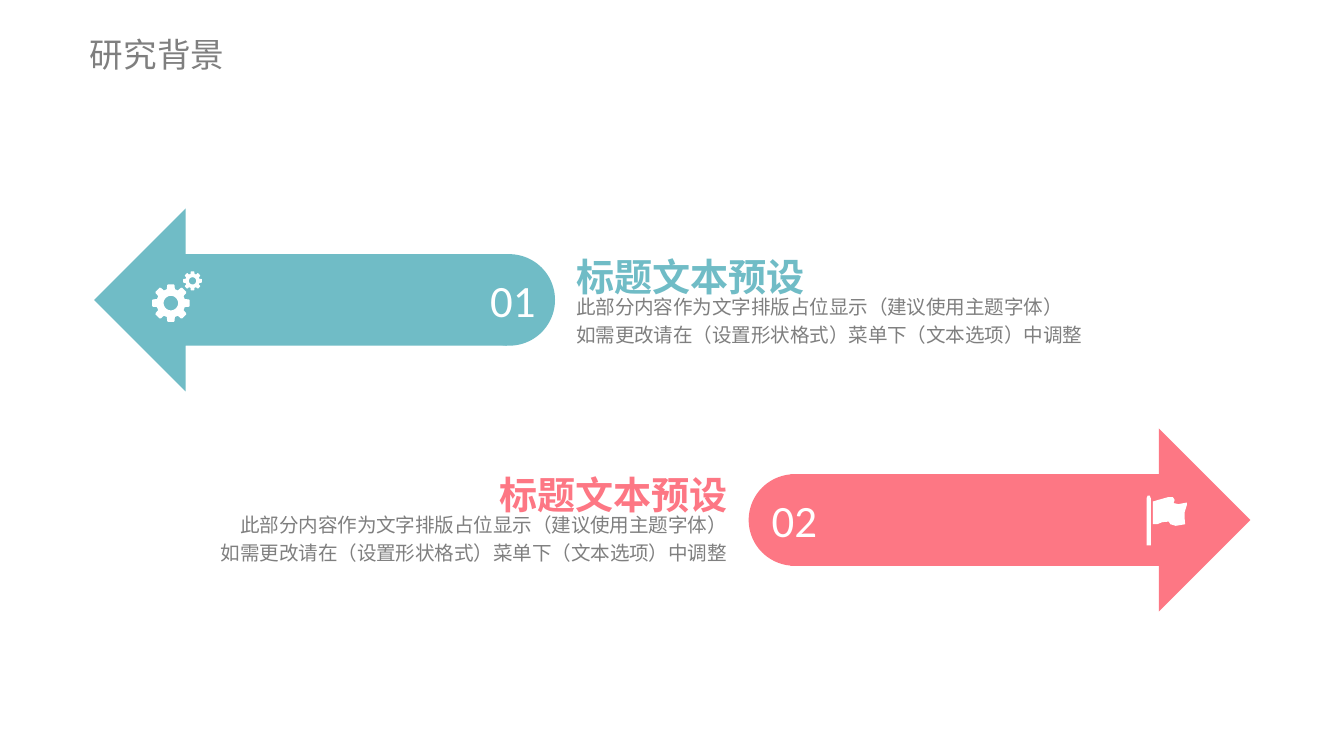
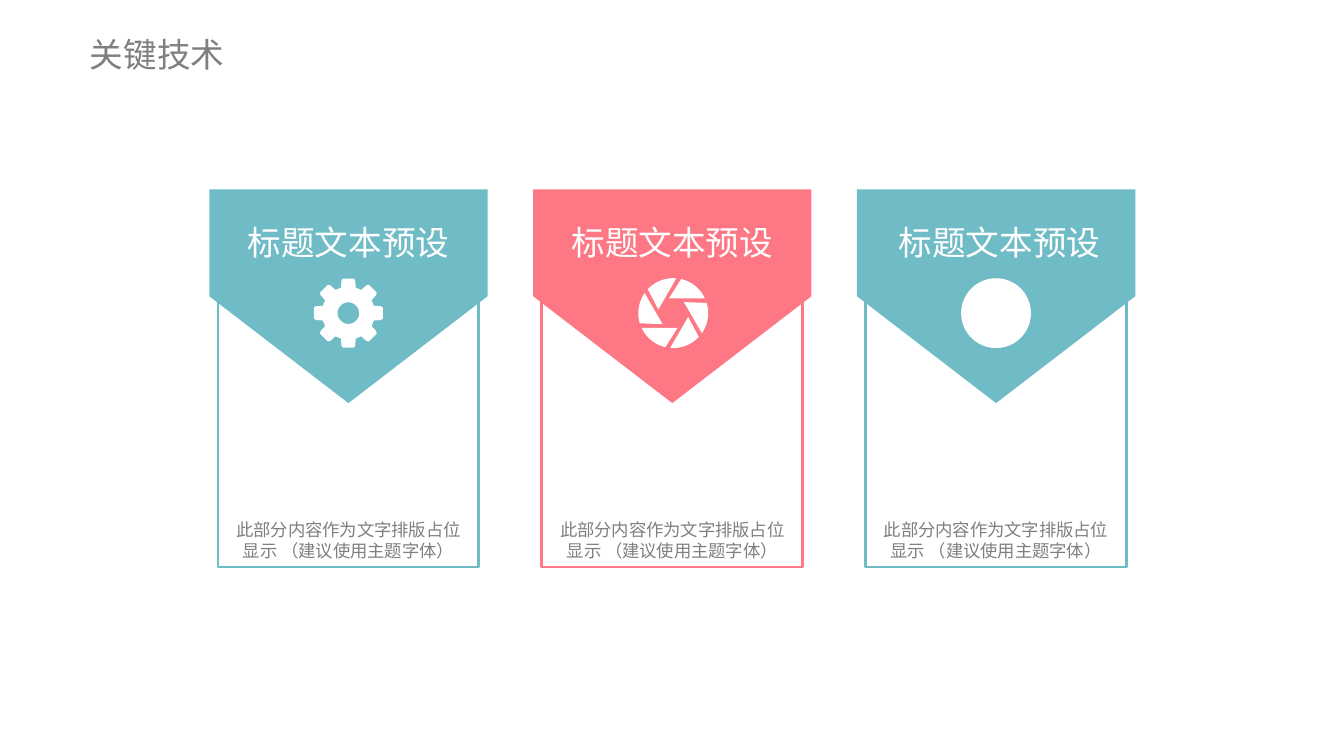
import math

from lxml import etree
from pptx import Presentation
from pptx import util as u
from pptx.dml.color import RGBColor
from pptx.enum import shapes, text
from pptx.oxml.ns import qn

TEAL, PINK, GREY, WHITE = "70BCC6", "FD7784", "7F7F7F", "FFFFFF"
CJK, LATIN = "Noto Sans CJK SC", "Calibri"
LEFT, CENTER, RIGHT = text.PP_ALIGN.LEFT, text.PP_ALIGN.CENTER, text.PP_ALIGN.RIGHT
TOP, MIDDLE = text.MSO_ANCHOR.TOP, text.MSO_ANCHOR.MIDDLE
SHAPE = shapes.MSO_SHAPE

# Slide 1: two opposite arrows, lengths in cm
HEADING = "标题文本预设"
ARROW_BODY = "此部分内容作为文字排版占位显示（建议使用主题字体）\v如需更改请在（设置形状格式）菜单下（文本选项）中调整"
ARROWS = [
    dict(number="02", color=PINK, left=14.94, top=8.1, length=8.69, rotation=0,
         circle_left=14.15, text_edge=14.15, text_top=8.92, align=RIGHT, number_align=CENTER),
    dict(number="01", color=TEAL, left=1.78, top=3.94, length=7.8, rotation=180,
         circle_left=8.76, text_edge=10.49, text_top=4.8, align=LEFT, number_align=LEFT),
]
ARROW_HEIGHT, CIRCLE = 3.46, 1.73
HEADING_SIZE, BODY_SIZE = (5.4, 0.69), (11.48, 1.14)
GEARS = [(3.64, 5.31, 0.18), (3.23, 5.73, 0.36)]
FLAG_AT = (21.79, 9.4)
FLAG = [(0, .08), (.1, .05), (.28, 0), (.38, 0), (.41, .05), (.39, .11), (.48, .13),
        (.64, .1), (.64, .15), (.6, .28), (.6, .41), (.61, .51), (.43, .54),
        (.33, .51), (.3, .46), (.18, .47), (.08, .51), (0, .51)]
POLE = [(-.12, .02), (-.1, -.03), (-.06, -.03), (-.04, .02), (-.04, .91), (-.12, .91)]

# Slide 2: three cards under pennants
CARD_BODY = "此部分内容作为文字排版占位显示 （建议使用主题字体）"
CARDS = [("gear", TEAL, 0.13), ("aperture", PINK, 0.13), ("disc", TEAL, 0)]
CARD_LEFT, CARD_TOP, CARD_STEP, CARD_WIDTH, CARD_HEIGHT = 4.12, 3.81, 6.12, 4.93, 6.91
PENNANT_LENGTH, PENNANT_WIDTH, PENNANT_MIDDLE = 4.04, 5.26, 5.6
ICON_MIDDLE, ICON_RADIUS = 5.92, 0.66


def rgb(color):
    return RGBColor.from_string(color)


def box_cm(*lengths):
    return [u.Cm(length) for length in lengths]


def paint(shape, fill=None, line=None):
    shape.shadow.inherit = False
    if fill:
        shape.fill.solid()
        shape.fill.fore_color.rgb = rgb(fill)
    else:
        shape.fill.background()
    if line:
        shape.line.color.rgb = rgb(line)
        shape.line.width = u.Pt(1.5)
    else:
        shape.line.fill.background()


def add_preset(slide, kind, box, fill=None, line=None, rotation=0):
    shape = slide.shapes.add_shape(kind, *box_cm(*box))
    paint(shape, fill, line)
    shape.rotation = rotation
    return shape


def write(shape, content, size, color, font=CJK, align=LEFT, anchor=TOP,
          insets=(0.25, 0.13, 0.25, 0.13), wrap=True, bold=False, spacing=None):
    frame = shape.text_frame
    frame.text = content
    frame.word_wrap = wrap
    frame.vertical_anchor = anchor
    (frame.margin_left, frame.margin_top,
     frame.margin_right, frame.margin_bottom) = box_cm(*insets)
    paragraph = frame.paragraphs[0]
    paragraph.alignment = align
    if spacing:
        paragraph.line_spacing = spacing
    for run in paragraph.runs:
        run.font.size = u.Pt(size)
        run.font.bold = bold
        run.font.color.rgb = rgb(color)
        run.font.name = font
        etree.SubElement(run.font._element, qn("a:ea"), typeface=font)


def add_text(slide, box, content, size, color, **style):
    write(slide.shapes.add_textbox(*box_cm(*box)), content, size, color, **style)


def add_outline(slide, contours):
    """Draw closed white contours, given in cm, as one freeform."""
    contours = [[box_cm(*point) for point in contour] for contour in contours]
    builder = slide.shapes.build_freeform(*contours[0][0])
    for index, contour in enumerate(contours):
        if index:
            builder.move_to(*contour[0])
        builder.add_line_segments(contour[1:], close=True)
    paint(builder.convert_to_shape(), WHITE)


def polar(x, y, radius, degrees):
    angle = math.radians(degrees)
    return x + radius * math.cos(angle), y + radius * math.sin(angle)


def add_gear(slide, x, y, radius, hole):
    tooth = [(-16, .76), (-12, .95), (-9, 1), (9, 1), (12, .95), (16, .76)]
    rim = [polar(x, y, radius * reach, turn + offset)
           for turn in range(0, 360, 45) for offset, reach in tooth]
    bore = [polar(x, y, radius * hole, -turn) for turn in range(0, 360, 10)]
    add_outline(slide, [rim, bore])


def add_aperture(slide, x, y, radius):
    blades = []
    for turn in range(0, 360, 60):
        arc = [polar(x, y, radius, turn - degrees) for degrees in range(25, 78, 4)]
        blades.append(arc + [polar(x, y, radius * 0.44, turn - 106)])
    add_outline(slide, blades)


def add_titled_slide(presentation, title):
    slide = presentation.slides.add_slide(presentation.slide_layouts[6])
    add_text(slide, (1.7, 0.48, 5.92, 1.07), title, 18, GREY, anchor=MIDDLE,
             insets=(0, 0.13, 0, 0.13))
    return slide


def add_arrow(slide, arrow):
    color, align = arrow["color"], arrow["align"]
    add_preset(slide, SHAPE.RIGHT_ARROW,
               (arrow["left"], arrow["top"], arrow["length"], ARROW_HEIGHT),
               color, rotation=arrow["rotation"])
    circle_top = arrow["top"] + (ARROW_HEIGHT - CIRCLE) / 2
    circle = add_preset(slide, SHAPE.OVAL,
                        (arrow["circle_left"], circle_top, CIRCLE, CIRCLE), color)
    write(circle, arrow["number"], 24, WHITE, font=LATIN, anchor=MIDDLE,
          align=arrow["number_align"], wrap=False)

    def add_label(top, size, *content, **style):
        left = arrow["text_edge"] - (size[0] if align == RIGHT else 0)
        add_text(slide, (left, top, *size), *content, align=align,
                 insets=(0.4, 0, 0.4, 0), **style)

    add_label(arrow["text_top"], HEADING_SIZE, HEADING, 20.4, color, bold=True)
    add_label(arrow["text_top"] + HEADING_SIZE[1], BODY_SIZE, ARROW_BODY, 10.5, GREY,
              spacing=1.2)


def add_card(slide, index, icon, color, inset_top):
    left = CARD_LEFT + index * CARD_STEP
    middle = left + CARD_WIDTH / 2
    card = add_preset(slide, SHAPE.RECTANGLE,
                      (left, CARD_TOP, CARD_WIDTH, CARD_HEIGHT), line=color)
    write(card, CARD_BODY, 9.3, GREY, align=CENTER, insets=(0.25, 6, 0.25, 0.13))
    pennant = add_preset(slide, SHAPE.PENTAGON,
                         (middle - PENNANT_LENGTH / 2, PENNANT_MIDDLE - PENNANT_WIDTH / 2,
                          PENNANT_LENGTH, PENNANT_WIDTH), color, rotation=90)
    write(pennant, HEADING, 18, WHITE, align=CENTER, wrap=False,
          insets=(0.61, inset_top, 0.25, 0.13))
    pennant.text_frame._txBody.bodyPr.set("vert", "vert270")
    if icon == "gear":
        add_gear(slide, middle, ICON_MIDDLE, ICON_RADIUS, 0.31)
    elif icon == "aperture":
        add_aperture(slide, middle + 0.02, ICON_MIDDLE, ICON_RADIUS)
    else:
        add_preset(slide, SHAPE.OVAL, (middle - ICON_RADIUS, ICON_MIDDLE - ICON_RADIUS,
                                       2 * ICON_RADIUS, 2 * ICON_RADIUS), WHITE)


def main():
    presentation = Presentation()
    presentation.slide_width, presentation.slide_height = box_cm(25.4, 14.29)

    background = add_titled_slide(presentation, "研究背景")
    for arrow in ARROWS:
        add_arrow(background, arrow)
    for x, y, radius in GEARS:
        add_gear(background, x, y, radius, 0.38)
    for outline in (FLAG, POLE):
        add_outline(background, [[(FLAG_AT[0] + x, FLAG_AT[1] + y) for x, y in outline]])

    technology = add_titled_slide(presentation, "关键技术")
    for index, card in enumerate(CARDS):
        add_card(technology, index, *card)

    presentation.save("out.pptx")


if __name__ == "__main__":
    main()
